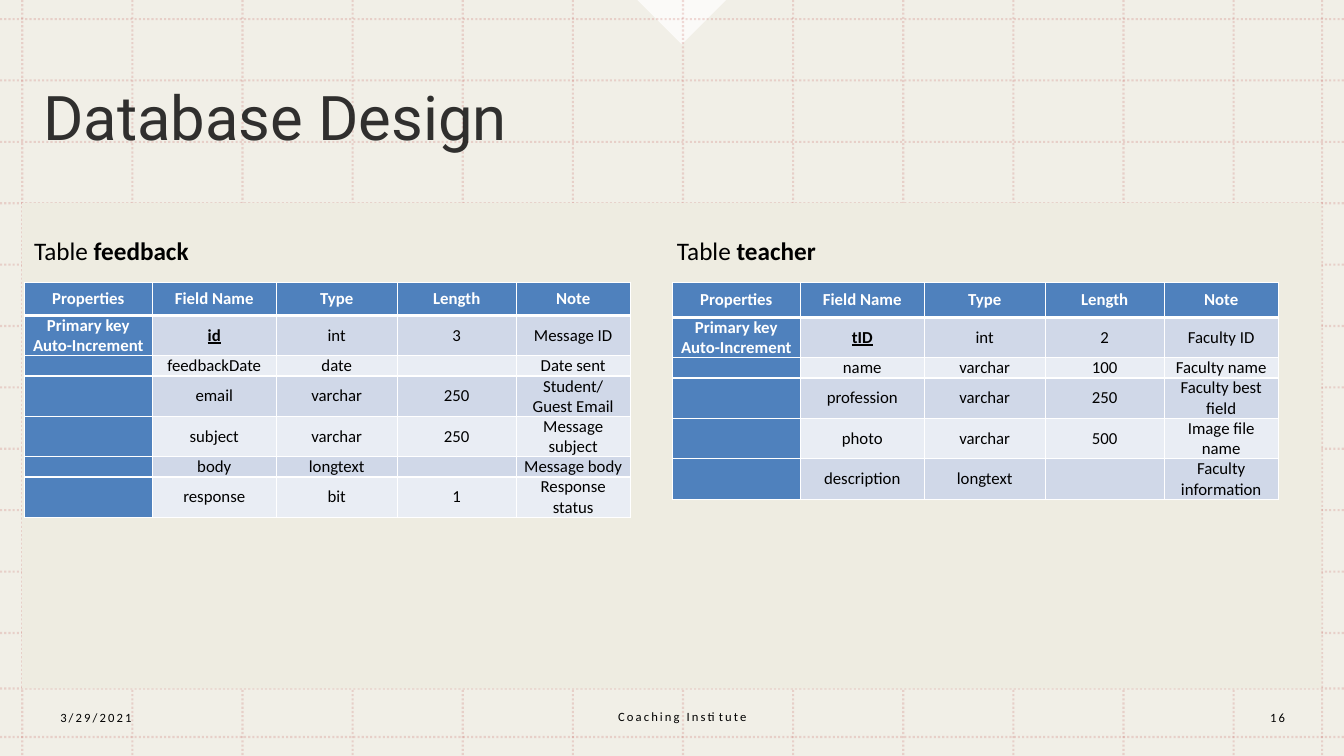
from lxml import etree
from pptx import Presentation
from pptx import util as u
from pptx.dml import color
from pptx.enum import dml, shapes, text
from pptx.oxml import ns

BEIGE, WHITE, BLACK, ROSE = "EEECE1", "FFFFFF", "000000", "C0504D"
BLUE, BANDS = "4F81BD", ["D0D8E8", "E9EDF4"]
LEFT, CENTER = text.PP_ALIGN.LEFT, text.PP_ALIGN.CENTER
WIDTH, HEIGHT = 33.87, 19.05


def paint(fill, hex_color, opacity=100):
    fill.solid()
    fill.fore_color.rgb = color.RGBColor.from_string(hex_color)
    if opacity < 100:
        srgb = fill._xPr.find(".//" + ns.qn("a:srgbClr"))
        etree.SubElement(srgb, ns.qn("a:alpha"), val=str(opacity * 1000))


def write(paragraph, content, hex_color=BLACK, opacity=100, align=LEFT, spacing=0, **font):
    """Add one run; font holds further attributes of its font."""
    paragraph.alignment = align
    run = paragraph.add_run()
    run.text = content
    for name, value in {"name": "Calibri", **font}.items():
        setattr(run.font, name, value)
    paint(run.font.fill, hex_color, opacity)
    if spacing:
        run.font._element.set("spc", str(spacing))


presentation = Presentation()
presentation.slide_width, presentation.slide_height = u.Cm(WIDTH), u.Cm(HEIGHT)
slide = presentation.slides.add_slide(presentation.slide_layouts[5])

# Backdrop, notch, dotted grid and content panel
backdrop = slide.shapes.add_shape(
    shapes.MSO_SHAPE.RECTANGLE, 0, 0, u.Cm(WIDTH), u.Cm(HEIGHT))
notch = slide.shapes.add_shape(
    shapes.MSO_SHAPE.RIGHT_TRIANGLE, u.Cm(16.39), u.Cm(-0.79), u.Cm(1.58), u.Cm(1.58))
notch.rotation = 315

columns = [0.56 + 30.53 * i / 11 for i in range(12)] + [33.32]
rows = [0.48 + 15.47 * i / 10 for i in range(11)] + [17.35, 18.57]
grid = [(x, 0, x, HEIGHT) for x in columns] + [(0, y, WIDTH, y) for y in rows]
for ends in grid:
    line = slide.shapes.add_connector(
        shapes.MSO_CONNECTOR.STRAIGHT, *[u.Cm(end) for end in ends])
    line.line.width = u.Pt(1.5)
    paint(line.line.fill, ROSE, 20)
    line.line.dash_style = dml.MSO_LINE.ROUND_DOT
    etree.SubElement(line.element.spPr, ns.qn("a:effectLst"))

panel = slide.shapes.add_shape(
    shapes.MSO_SHAPE.RECTANGLE, u.Cm(0.56), u.Cm(5.11), u.Cm(32.74), u.Cm(12.24))
for shape, hex_color, opacity in [(backdrop, BEIGE, 80), (notch, WHITE, 75), (panel, BEIGE, 100)]:
    shape.shadow.inherit = False
    shape.line.fill.background()
    paint(shape.fill, hex_color, opacity)

# Title, in front of the panel
title = slide.shapes.title
slide.shapes.element.append(title.element)
title.left, title.top, title.width, title.height = [
    u.Cm(value) for value in (0.84, 0.94, 31.95, 4.17)]
title.text_frame.auto_size = text.MSO_AUTO_SIZE.NONE
title.text_frame.vertical_anchor = text.MSO_ANCHOR.MIDDLE
title.text_frame.paragraphs[0].line_spacing = 0.9
write(title.text_frame.paragraphs[0], "Database Design", opacity=80,
      name="Roboto", size=u.Pt(44))

# Footer and table captions
small = {"size": u.Pt(9), "spacing": 150}
large = {"size": u.Pt(18)}
labels = [
    (1.27, 17.58, 7.11, [("3/29/2021", small)]),
    (11.66, 17.55, 11.07, [("Coaching Institute", {**small, "align": CENTER})]),
    (31.09, 17.58, 2.21, [("16", {**small, "align": CENTER})]),
    (0.61, 5.79, 15.01, [("Table ", large), ("feedback", {**large, "bold": True})]),
    (16.81, 5.79, 15.01, [("Table ", large), ("teacher", {**large, "bold": True})]),
]
for left, top, width, runs in labels:
    label = slide.shapes.add_textbox(u.Cm(left), u.Cm(top), u.Cm(width), u.Cm(1.02))
    label.text_frame.word_wrap = True
    label.text_frame.vertical_anchor = text.MSO_ANCHOR.MIDDLE
    for content, style in runs:
        write(label.text_frame.paragraphs[0], content, **style)

# Tables
HEADER = ("Properties", "Field Name", "Type", "Length", "Note")
KEY = "Primary key\nAuto-Increment"
feedback = [
    HEADER,
    (KEY, "id", "int", "3", "Message ID"),
    ("", "feedbackDate", "date", "", "Date sent"),
    ("", "email", "varchar", "250", "Student/Guest Email"),
    ("", "subject", "varchar", "250", "Message subject"),
    ("", "body", "longtext", "", "Message body"),
    ("", "response", "bit", "1", "Response status"),
]
teacher = [
    HEADER,
    (KEY, "tID", "int", "2", "Faculty ID"),
    ("", "name", "varchar", "100", "Faculty name"),
    ("", "profession", "varchar", "250", "Faculty best field"),
    ("", "photo", "varchar", "500", "Image file name"),
    ("", "description", "longtext", "", "Faculty information"),
]
cell_format = {
    "vertical_anchor": text.MSO_ANCHOR.MIDDLE,
    "margin_left": u.Cm(0.18), "margin_right": u.Cm(0.18),
    "margin_top": 0, "margin_bottom": 0,
}
for left, header_height, fields in [(0.61, 0.84, feedback), (16.94, 0.89, teacher)]:
    table = slide.shapes.add_table(
        len(fields), len(HEADER), u.Cm(left), u.Cm(7.11), u.Cm(15.27), u.Cm(4)).table
    for column, width in zip(table.columns, (3.23, 3.12, 3.05, 3, 2.87)):
        column.width = u.Cm(width)
    for r, values in enumerate(fields):
        table.rows[r].height = u.Cm(0.5 if r else header_height)
        for c, value in enumerate(values):
            cell = table.cell(r, c)
            for name, setting in cell_format.items():
                setattr(cell, name, setting)
            properties = cell._tc.get_or_add_tcPr()
            for side in "LRTB":
                thick = (r, side) in [(0, "B"), (1, "T")]
                border = etree.SubElement(properties, ns.qn("a:ln" + side),
                                          w=str(u.Pt(3 if thick else 1)))
                solid = etree.SubElement(border, ns.qn("a:solidFill"))
                etree.SubElement(solid, ns.qn("a:srgbClr"), val=WHITE)
            heading = r == 0 or c == 0
            paint(cell.fill, BLUE if heading else BANDS[(r - 1) % 2])
            primary = (r, c) == (1, 1)
            for i, content in enumerate(value.split("\n")):
                frame = cell.text_frame
                paragraph = frame.add_paragraph() if i else frame.paragraphs[0]
                if content:
                    write(paragraph, content, WHITE if heading else BLACK, align=CENTER,
                          size=u.Pt(12), bold=heading or primary, underline=primary)
                else:
                    etree.SubElement(paragraph._p, ns.qn("a:endParaRPr"), sz="1200")

presentation.save("out.pptx")
